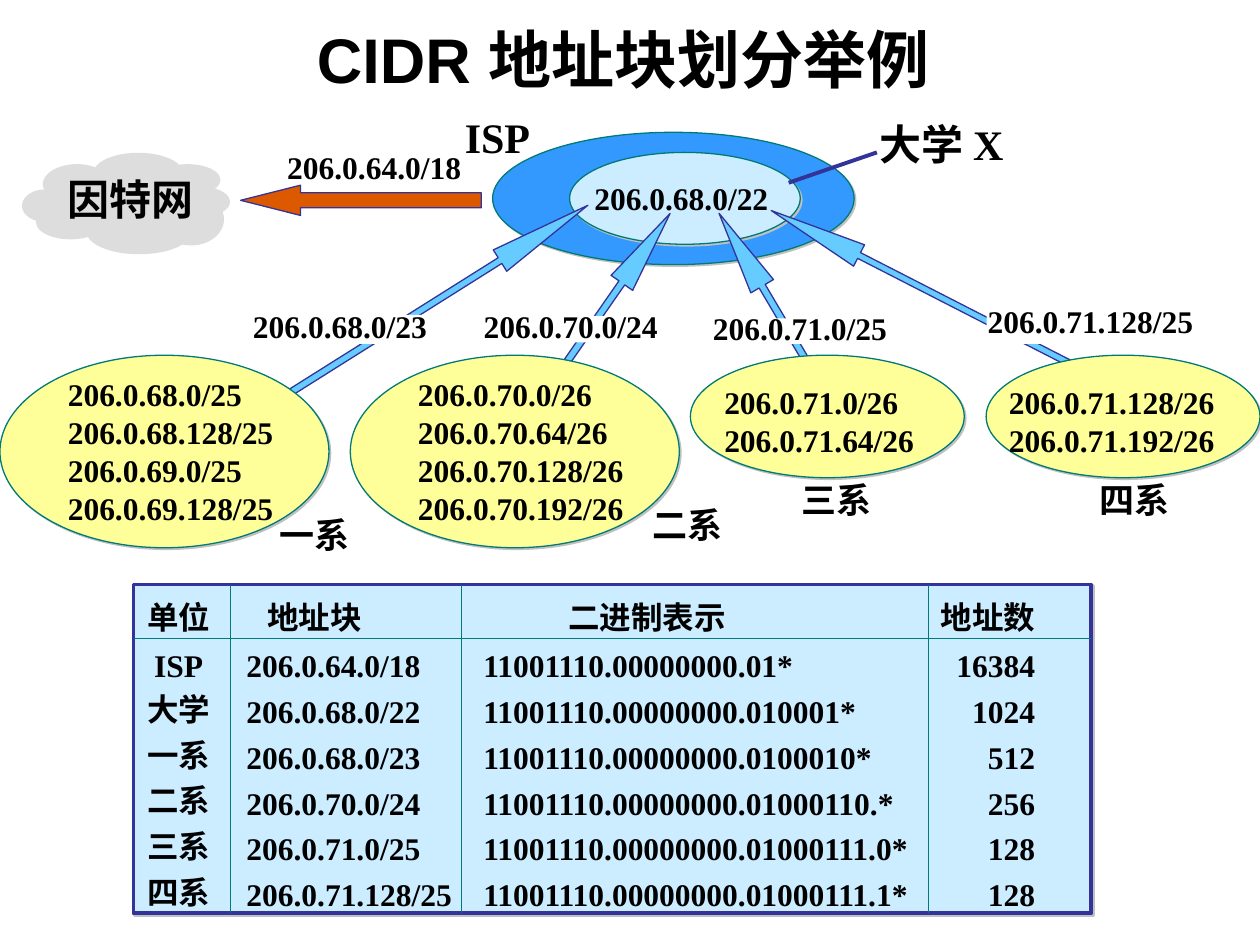
import math

from lxml import etree
from pptx import Presentation
from pptx.dml.color import RGBColor
from pptx.enum.shapes import MSO_CONNECTOR, MSO_SHAPE
from pptx.enum.text import MSO_ANCHOR, MSO_AUTO_SIZE, PP_ALIGN
from pptx.oxml import parse_xml
from pptx.oxml.ns import nsdecls, qn
from pptx.util import Pt

ELLIPSE, RECTANGLE, LEFT_ARROW = MSO_SHAPE.OVAL, MSO_SHAPE.RECTANGLE, MSO_SHAPE.LEFT_ARROW
LEFT, CENTER, RIGHT = PP_ALIGN.LEFT, PP_ALIGN.CENTER, PP_ALIGN.RIGHT
BOTTOM, NO_AUTO_SIZE = MSO_ANCHOR.BOTTOM, MSO_AUTO_SIZE.NONE
STRAIGHT = MSO_CONNECTOR.STRAIGHT
SERIF = "Times New Roman"
BLACK, WHITE, NAVY, TEAL, PALE_BLUE = "000000", "FFFFFF", "333399", "007A77", "CCECFF"
NO_STYLE = "{2D5ABB26-0587-4C30-8999-92F81FD0307C}"

# Ellipses of the cloud, relative to its top left corner
CLOUD_PUFFS = [
    (41, 0, 51, 23), (12, 6.5, 39, 23), (0, 21, 26, 18.5), (8, 29.5, 39.5, 20),
    (37, 32.5, 60, 25.5), (76, 6.5, 37.5, 18), (81.5, 19, 37.5, 18),
    (78, 23, 37.5, 30), (21.5, 14, 77, 30),
]

# Ellipse box, list position, addresses, name, name position
DEPARTMENTS = [
    ((0, 203, 188, 110), (31.7, 211),
     ["206.0.68.0/25", "206.0.68.128/25", "206.0.69.0/25", "206.0.69.128/25"],
     "一系", (152.6, 290)),
    ((200.2, 203, 188, 110), (231.8, 211),
     ["206.0.70.0/26", "206.0.70.64/26", "206.0.70.128/26", "206.0.70.192/26"],
     "二系", (365.8, 284.4)),
    ((394.5, 203, 156.5, 70), (406.8, 215.3),
     ["206.0.71.0/26", "206.0.71.64/26"], "三系", (450.7, 270)),
    ((563.5, 203, 156.5, 70), (569.5, 215.3),
     ["206.0.71.128/26", "206.0.71.192/26"], "四系", (621.4, 270)),
]

# Head, tail, thickness, head length ratio
UPLINKS = [
    ((335.9, 117.3), (157.3, 229.7), 14.4, 4.12),
    ((382.9, 122), (286.7, 260.3), 15, 3.22),
    ((410.9, 121.9), (497, 267.6), 15, 3.23),
    ((440.7, 120.3), (616.3, 210.2), 13.7, 4.12),
]

# Text, white box, top of the text box
UPLINK_LABELS = [
    ("206.0.68.0/23", (144, 180, 106, 16.5), 172),
    ("206.0.70.0/24", (275.8, 180.7, 106.5, 15), 172),
    ("206.0.71.0/25", (406.8, 182, 106, 14.5), 173),
    ("206.0.71.128/25", (563.8, 180, 124.5, 16.5), 169.2),
]

ADDRESS_ROWS = [
    ("单位", "地址块", "二进制表示", "地址数"),
    ("ISP", "206.0.64.0/18", "11001110.00000000.01*", "16384"),
    ("大学", "206.0.68.0/22", "11001110.00000000.010001*", "1024"),
    ("一系", "206.0.68.0/23", "11001110.00000000.0100010*", "512"),
    ("二系", "206.0.70.0/24", "11001110.00000000.01000110.*", "256"),
    ("三系", "206.0.71.0/25", "11001110.00000000.01000111.0*", "128"),
    ("四系", "206.0.71.128/25", "11001110.00000000.01000111.1*", "128"),
]
# Width, alignment, left inset of the header, left inset of the body, right inset
ADDRESS_COLUMNS = [
    (55.5, CENTER, 0, 0, 4), (132, LEFT, 21, 9, 0),
    (267, LEFT, 61, 12.5, 0), (92.7, RIGHT, 0, 0, 32),
]


def color(value):
    return RGBColor.from_string(value)


def points(values):
    return [Pt(value) for value in values]


def add_run(paragraph, text, size, font=SERIF):
    run = paragraph.add_run()
    run.text = text
    run.font.size, run.font.name, run.font.bold = Pt(size), font, True
    run.font.color.rgb = color(BLACK)


def add_text(slide, lines, box, size=18):
    frame = slide.shapes.add_textbox(*points(box)).text_frame
    frame.word_wrap = True
    frame.margin_right = 0
    for index, line in enumerate(lines):
        paragraph = frame.add_paragraph() if index else frame.paragraphs[0]
        add_run(paragraph, line, size)


def add_filled(shapes, kind, box, fill, line=None, width=0.75, shadow=False):
    shape = shapes.add_shape(kind, *points(box))
    shape.shadow.inherit = False
    shape.fill.solid()
    shape.fill.fore_color.rgb = color(fill)
    if line:
        shape.line.color.rgb, shape.line.width = color(line), Pt(width)
    else:
        shape.line.fill.background()
    if shadow:
        effects = shape._element.spPr.find(qn("a:effectLst"))
        effects.append(parse_xml(
            f'<a:outerShdw {nsdecls("a")} dist="17780" dir="2700000" algn="ctr" rotWithShape="0">'
            '<a:srgbClr val="C0C0C0"/></a:outerShdw>'))
    return shape


def add_arrow(slide, head, tail, thickness, fill, shaft, head_ratio):
    """Place a block arrow whose tip lies at head and whose end lies at tail."""
    dx, dy = tail[0] - head[0], tail[1] - head[1]
    length = math.hypot(dx, dy)
    left = (head[0] + tail[0] - length) / 2
    top = (head[1] + tail[1] - thickness) / 2
    arrow = add_filled(slide.shapes, LEFT_ARROW, (left, top, length, thickness), fill, NAVY)
    arrow.adjustments[0], arrow.adjustments[1] = shaft, head_ratio
    arrow.rotation = math.degrees(math.atan2(dy, dx))


def add_title(slide, box):
    title = slide.shapes.title
    title.left, title.top, title.width, title.height = points(box)
    frame = title.text_frame
    frame.auto_size = NO_AUTO_SIZE
    frame.vertical_anchor = BOTTOM
    frame.margin_right = Pt(15)
    paragraph = frame.paragraphs[0]
    paragraph.alignment = CENTER
    add_run(paragraph, "CIDR 地址块划分举例", 36, "Arial")


def add_internet(slide, left, top):
    cloud = slide.shapes.add_group_shape()
    for x, y, width, height in CLOUD_PUFFS:
        add_filled(cloud.shapes, ELLIPSE, (left + x, top + y, width, height), "DDDDDD")
    add_text(slide, ["因特网"], (left + 19, top + 8.5, 86.4, 36), 24)


def add_provider(slide, left, top):
    """Draw the ISP ellipse, the university inside it and their labels."""
    add_filled(slide.shapes, ELLIPSE, (left, top, 206.6, 75.6), "3399FF", TEAL, shadow=True)
    add_filled(slide.shapes, ELLIPSE, (left + 44, top + 11.5, 131.8, 52.5), PALE_BLUE, TEAL,
               shadow=True)
    add_text(slide, ["206.0.68.0/22"], (left + 51, top + 23, 113.8, 28.8))
    add_text(slide, ["206.0.64.0/18"], (left - 124.5, top + 5.5, 113.8, 28.8))
    add_text(slide, ["ISP"], (left - 23, top - 15.3, 51.8, 36), 24)
    add_text(slide, ["大学 X"], (left + 214, top - 11.5, 97.2, 36), 24)
    pointer = slide.shapes.add_connector(
        STRAIGHT, *points((left + 169.2, top + 28.8, left + 219.6, top + 11.5)))
    pointer.line.color.rgb, pointer.line.width = color(NAVY), Pt(2.25)
    etree.SubElement(pointer._element.spPr, qn("a:effectLst"))


def add_department(slide, box, list_position, addresses, name, name_position):
    add_filled(slide.shapes, ELLIPSE, box, "FFFF99", TEAL, shadow=True)
    add_text(slide, addresses, (*list_position, 131.8, 7.2 + 21.6 * len(addresses)))
    add_text(slide, [name], (*name_position, 56, 31.7), 20)


def add_uplink_label(slide, text, box, text_top):
    add_filled(slide.shapes, RECTANGLE, box, WHITE)
    add_text(slide, [text], (box[0] - 6.5, text_top, box[2] + 8, 28.8))


def add_border(cell, side):
    cell._tc.get_or_add_tcPr().append(parse_xml(
        f'<a:{side} {nsdecls("a")} w="9525"><a:solidFill><a:srgbClr val="{TEAL}"/>'
        f'</a:solidFill></a:{side}>'))


def add_address_table(slide, box):
    add_filled(slide.shapes, RECTANGLE, box, PALE_BLUE, NAVY, 2.25, shadow=True)
    table = slide.shapes.add_table(len(ADDRESS_ROWS), len(ADDRESS_COLUMNS), *points(box)).table
    table.first_row = table.horz_banding = False
    table._tbl.tblPr.find(qn("a:tableStyleId")).text = NO_STYLE
    header_height = 31
    body_height = (box[3] - header_height) / (len(ADDRESS_ROWS) - 1)
    for row, values in enumerate(ADDRESS_ROWS):
        table.rows[row].height = Pt(body_height if row else header_height)
        for column, (width, alignment, header_inset, body_inset, right) in enumerate(ADDRESS_COLUMNS):
            table.columns[column].width = Pt(width)
            cell = table.cell(row, column)
            cell.margin_left = Pt(body_inset if row else header_inset)
            cell.margin_right = Pt(right)
            cell.margin_top = cell.margin_bottom = 0
            cell.vertical_anchor = BOTTOM
            if column < len(ADDRESS_COLUMNS) - 1:
                add_border(cell, "lnR")
            if row == 0:
                add_border(cell, "lnB")
            cell.fill.background()
            paragraph = cell.text_frame.paragraphs[0]
            paragraph.alignment = alignment
            add_run(paragraph, values[column], 18)


def main():
    presentation = Presentation()
    presentation.slide_width, presentation.slide_height = Pt(720), Pt(540)
    slide = presentation.slides.add_slide(presentation.slide_layouts[5])
    add_title(slide, (0, 3.6, 720, 54.7))
    add_internet(slide, 12.5, 87.3)
    add_provider(slide, 281.5, 75.6)
    add_arrow(slide, (137.5, 114.5), (275, 114.5), 17.3, "DC5900", 0.5, 1.98)
    for head, tail, thickness, head_ratio in UPLINKS:
        add_arrow(slide, head, tail, thickness, "66CCFF", 0.27, head_ratio)
    for department in DEPARTMENTS:
        add_department(slide, *department)
    for label in UPLINK_LABELS:
        add_uplink_label(slide, *label)
    add_address_table(slide, (76.3, 334, 547.2, 188))
    presentation.save("out.pptx")


if __name__ == "__main__":
    main()
